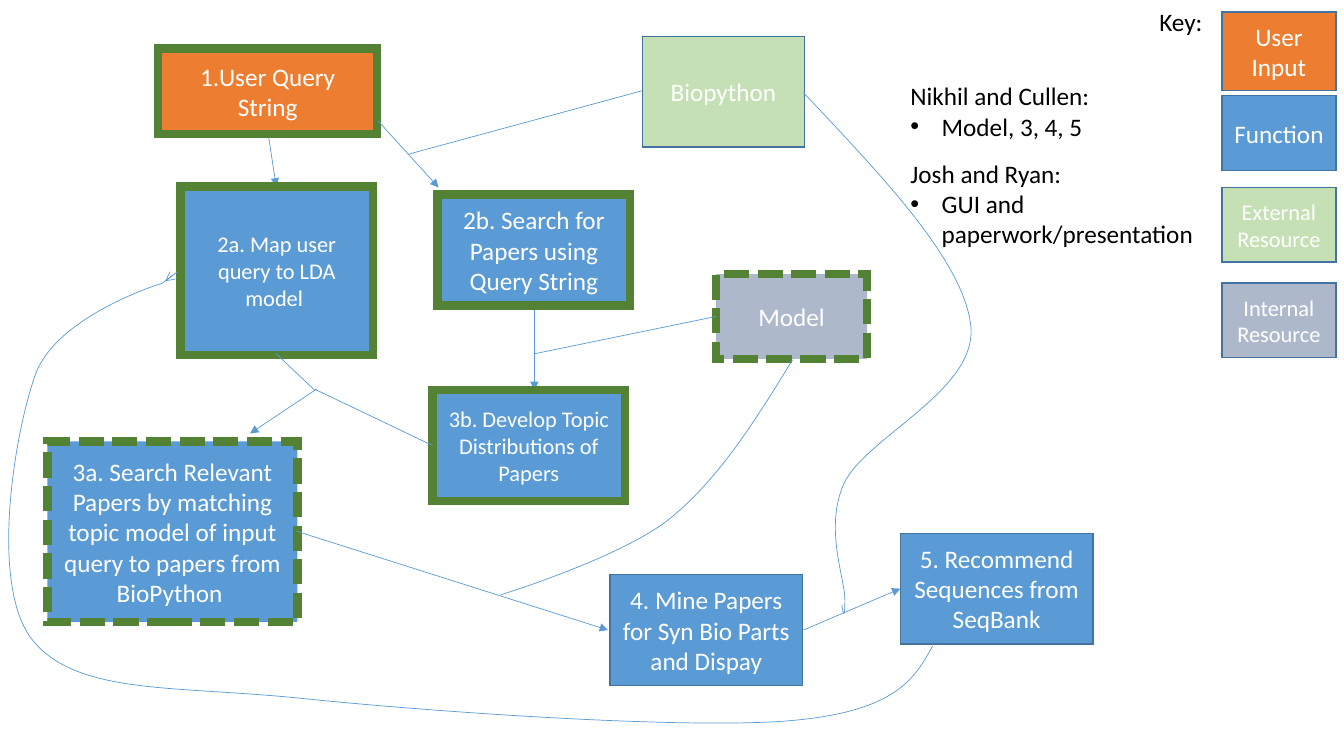
"""Build the flow diagram of a paper search tool, with its colour key and task lists."""
from lxml import etree
from pptx import Presentation
from pptx.dml.color import RGBColor
from pptx.enum.dml import MSO_LINE
from pptx.enum.shapes import MSO_CONNECTOR, MSO_SHAPE
from pptx.enum.text import MSO_ANCHOR, MSO_AUTO_SIZE, PP_ALIGN
from pptx.oxml.ns import qn
from pptx.util import Inches, Pt

ORANGE = RGBColor(0xED, 0x7D, 0x31)
BLUE = RGBColor(0x5B, 0x9B, 0xD5)
LIGHT_GREEN = RGBColor(0xC5, 0xE0, 0xB4)
GREY = RGBColor(0xAD, 0xB9, 0xCA)
DARK_GREEN = RGBColor(0x54, 0x82, 0x35)
DARK_BLUE = RGBColor(0x43, 0x73, 0x9E)
WHITE = RGBColor(0xFF, 0xFF, 0xFF)
BLACK = RGBColor(0, 0, 0)

prs = Presentation()
prs.slide_width, prs.slide_height = Inches(13.33), Inches(7.5)
slide = prs.slides.add_slide(prs.slide_layouts.get_by_name("Two Content"))
shapes = slide.shapes
title = shapes.title.element
title.getparent().remove(title)


def style_text(paragraph, size, color):
    font = paragraph.runs[0].font
    font.name = "Calibri"
    font.size = Pt(size)
    font.color.rgb = color


def draw_lines(lines):
    for x1, y1, x2, y2, arrow in lines:
        line = shapes.add_connector(
            MSO_CONNECTOR.STRAIGHT, Inches(x1), Inches(y1), Inches(x2), Inches(y2))
        line.line.color.rgb = BLUE
        line.line.width = Pt(0.5)
        if arrow:
            etree.SubElement(line.line._get_or_add_ln(), qn("a:tailEnd"), type="triangle")
        etree.SubElement(line.element.spPr, qn("a:effectLst"))


draw_lines([(2.66, 1.33, 2.74, 1.85, True), (5.3, 3.03, 5.3, 3.87, True)])

boxes = [
    ("1.User Query String", 1.57, 0.48, 2.17, 0.85, ORANGE, 18, "thick"),
    ("2a. Map user query to LDA model ", 1.79, 1.85, 1.91, 1.67, BLUE, 16, "thick"),
    ("3a. Search Relevant Papers by matching topic model of input query to papers "
     "from BioPython ", 0.47, 4.38, 2.48, 1.79, BLUE, 18, "dashed"),
    ("2b. Search for Papers using Query String", 4.34, 1.93, 1.91, 1.1, BLUE, 18, "thick"),
    ("Model", 7.1, 2.72, 1.5, 0.84, GREY, 18, "dashed"),
    ("3b. Develop Topic Distributions of Papers", 4.29, 3.87, 1.91, 1.1, BLUE, 16, "thick"),
    ("Biopython", 6.37, 0.36, 1.61, 1.1, LIGHT_GREEN, 18, "thin"),
    ("4. Mine Papers for Syn Bio Parts and Dispay", 6.05, 5.7, 1.91, 1.1, BLUE, 18, "thin"),
    ("5. Recommend Sequences from SeqBank", 8.93, 5.29, 1.91, 1.1, BLUE, 18, "thin"),
    ("User Input", 12.12, 0.12, 1.13, 0.78, ORANGE, 18, "thin"),
    ("Function", 12.12, 0.95, 1.13, 0.74, BLUE, 18, "thin"),
    ("External Resource", 12.12, 1.86, 1.13, 0.74, LIGHT_GREEN, 16, "thin"),
    ("Internal Resource", 12.12, 2.81, 1.13, 0.74, GREY, 16, "thin"),
]
for text, x, y, w, h, fill, size, border in boxes:
    box = shapes.add_shape(MSO_SHAPE.RECTANGLE, Inches(x), Inches(y), Inches(w), Inches(h))
    box.shadow.inherit = False
    box.fill.solid()
    box.fill.fore_color.rgb = fill
    box.line.color.rgb = DARK_BLUE if border == "thin" else DARK_GREEN
    box.line.width = Pt(1 if border == "thin" else 6)
    if border == "dashed":
        box.line.dash_style = MSO_LINE.SQUARE_DOT
    etree.SubElement(box.line._get_or_add_ln(), qn("a:miter"), lim="800000")
    box.text_frame.text = text
    box.text_frame.vertical_anchor = MSO_ANCHOR.MIDDLE
    box.text_frame.paragraphs[0].alignment = PP_ALIGN.CENTER
    style_text(box.text_frame.paragraphs[0], size, WHITE)

draw_lines([
    (3.14, 3.86, 2.48, 4.3, True),
    (3.75, 1.2, 4.35, 1.86, True),
    (4.29, 4.42, 3.12, 3.86, False),
    (2.74, 3.51, 3.12, 3.87, False),
    (6.37, 0.9, 4.05, 1.53, False),
    (7.1, 3.14, 5.3, 3.51, False),
    (2.94, 5.27, 6.03, 6.25, True),
    (7.97, 6.25, 8.93, 5.84, True),
])

model_to_mining = [(7.86, 3.57), (7.5, 4.16), (7.13, 4.75), (6.65, 5.14),
                   (6.17, 5.53), (4.97, 5.9), (4.97, 5.9)]
biopython_to_sequences = [
    (7.97, 0.92), (8.76, 1.76), (9.56, 2.59), (9.63, 3.24), (9.69, 3.88), (8.58, 4.34),
    (8.37, 4.8), (8.17, 5.25), (8.39, 5.76), (8.38, 5.96), (8.38, 6.16), (8.36, 6.08),
    (8.35, 6)]
sequences_to_query = [
    (9.25, 6.41), (9.07, 6.74), (8.88, 7.06), (7.84, 7.15), (6.8, 7.24), (4.25, 7.06),
    (3, 6.93), (1.75, 6.8), (0.78, 6.9), (0.33, 6.36), (-0.11, 5.83), (0.14, 4.31),
    (0.35, 3.72), (0.56, 3.13), (1.61, 2.81), (1.61, 2.81), (1.82, 2.65), (1.73, 2.72),
    (1.64, 2.79)]
curves = [
    (model_to_mining, 4.97, 3.57, 2.89, 2.34, False),
    (biopython_to_sequences, 7.97, 0.92, 1.66, 5.17, False),
    (sequences_to_query, 0.09, 2.71, 9.16, 4.46, True),
]
for controls, x, y, w, h, arrow in curves:
    builder = shapes.build_freeform(Inches(x), Inches(y))
    builder.add_line_segments([(Inches(x + w), Inches(y + h))], close=False)
    curve = builder.convert_to_shape()
    path = next(curve.element.iter(qn("a:path")))
    for segment in list(path):
        path.remove(segment)
    for i, (px, py) in enumerate(controls):
        if i == 0:
            segment = etree.SubElement(path, qn("a:moveTo"))
        elif i % 3 == 1:
            segment = etree.SubElement(path, qn("a:cubicBezTo"))
        etree.SubElement(segment, qn("a:pt"), x=str(Inches(px - x)), y=str(Inches(py - y)))
    curve.shadow.inherit = False
    curve.fill.background()
    curve.line.color.rgb = BLUE
    curve.line.width = Pt(0.5)
    if arrow:
        etree.SubElement(curve.line._get_or_add_ln(), qn("a:tailEnd"), type="arrow")

key = shapes.add_textbox(Inches(11.4), Inches(0.01), Inches(1.44), Inches(0.4))
key.text_frame.word_wrap = True
key.text_frame.text = "Key:"
style_text(key.text_frame.paragraphs[0], 18, BLACK)

task_lists = [
    ("Nikhil and Cullen:", "Model, 3, 4, 5", 0.75, 2.61, 0.71),
    ("Josh and Ryan:", "GUI and paperwork/presentation", 1.52, 3.03, 1.01),
]
for body, (people, task, y, w, h) in zip(list(slide.placeholders), task_lists):
    body.left, body.top, body.width, body.height = Inches(8.93), Inches(y), Inches(w), Inches(h)
    body.element.getparent().append(body.element)
    frame = body.text_frame
    frame.text = f"{people}\n{task}"
    frame.auto_size = MSO_AUTO_SIZE.NONE
    frame.vertical_anchor = MSO_ANCHOR.TOP
    for paragraph, indent in zip(frame.paragraphs, (0, 0.31)):
        style_text(paragraph, 18, BLACK)
        paragraph.space_before = Pt(0)
        properties = paragraph._p.get_or_add_pPr()
        properties.set("marL", str(Inches(indent)))
        properties.set("indent", str(-Inches(indent)))
        if indent:
            etree.SubElement(properties, qn("a:buFont"), typeface="Arial")
            etree.SubElement(properties, qn("a:buChar"), char="•")
        else:
            etree.SubElement(properties, qn("a:buNone"))

prs.save("out.pptx")
